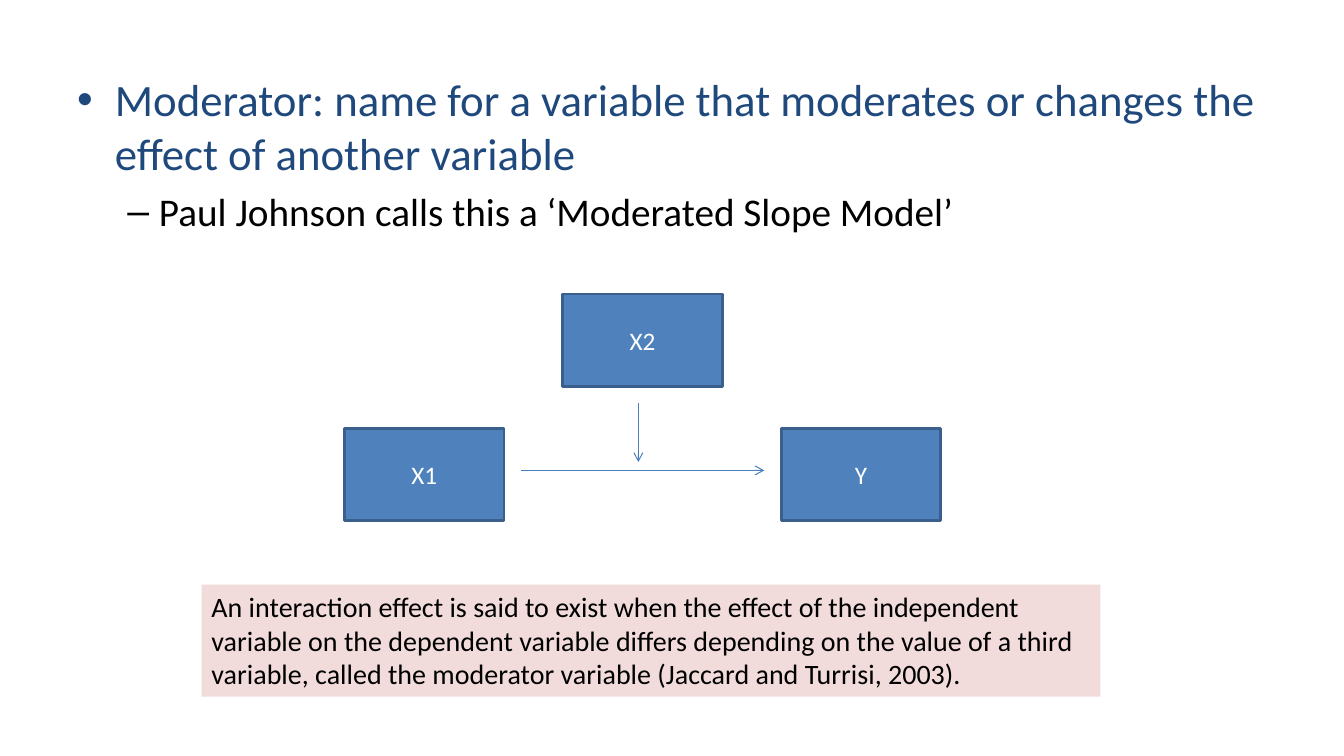
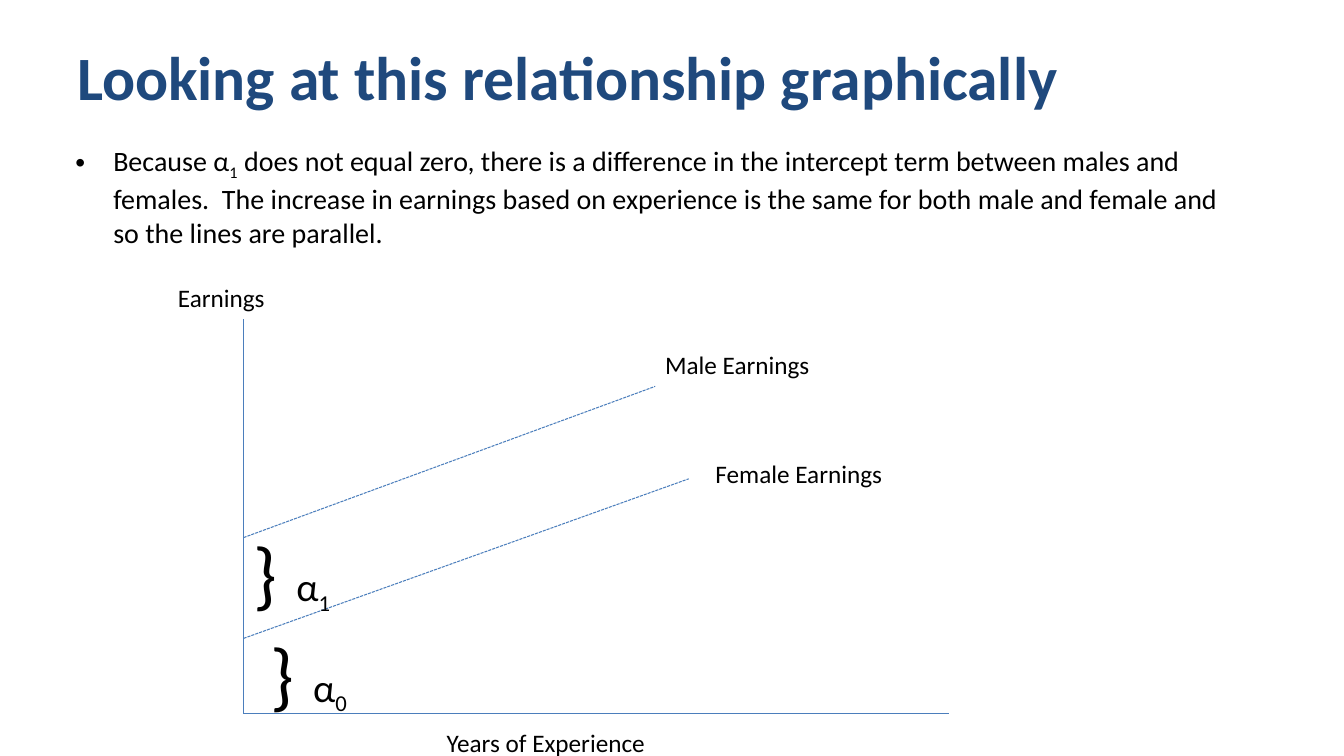
from dataclasses import dataclass
from typing import Any, Optional

from lxml.etree import SubElement
from pptx import Presentation
from pptx.dml.color import RGBColor
from pptx.enum.dml import MSO_LINE
from pptx.enum.shapes import MSO_CONNECTOR, MSO_SHAPE
from pptx.enum.text import MSO_ANCHOR, PP_ALIGN
from pptx.oxml.ns import qn
from pptx.slide import Slide
from pptx.text.text import TextFrame
from pptx.util import Pt


# Theme
@dataclass(frozen=True)
class Theme:
    font: str = "Calibri"
    bullet_font: str = "Arial"
    heading: RGBColor = RGBColor(0x1F, 0x49, 0x7D)
    text: RGBColor = RGBColor(0, 0, 0)
    white: RGBColor = RGBColor(0xFF, 0xFF, 0xFF)
    node_fill: RGBColor = RGBColor(0x4F, 0x81, 0xBD)
    node_line: RGBColor = RGBColor(0x3A, 0x5F, 0x8C)
    rule: RGBColor = RGBColor(0x4B, 0x7E, 0xBC)
    callout_fill: RGBColor = RGBColor(0xF2, 0xDC, 0xDB)
    title_size: float = 44
    lead_size: float = 32
    sub_size: float = 28
    body_size: float = 20
    label_size: float = 18
    brace_size: float = 54
    gap_size: float = 60


THEME = Theme()


# Repeated elements
@dataclass(frozen=True)
class Span:
    text: str
    size: float = THEME.label_size
    color: RGBColor = THEME.text
    bold: bool = False
    subscript: bool = False


@dataclass(frozen=True)
class Bullet:
    mark: str
    indent: float
    hanging: float
    level: int = 0


DOT = Bullet("•", 27, 27)
DASH = Bullet("–", 58.5, 22.5, 1)


@dataclass(frozen=True)
class Para:
    spans: tuple[Span, ...]
    bullet: Optional[Bullet] = None
    alignment: PP_ALIGN = PP_ALIGN.LEFT


@dataclass(frozen=True)
class Box:
    left: float
    top: float
    width: float
    height: float

    def lengths(self) -> tuple[Pt, Pt, Pt, Pt]:
        return Pt(self.left), Pt(self.top), Pt(self.width), Pt(self.height)


@dataclass(frozen=True)
class Line:
    start: tuple[float, float]
    end: tuple[float, float]
    arrow: bool = False
    dashed: bool = False


# Drawing functions
def apply_format(target: Any, values: dict[str, Any]) -> None:
    for name, value in values.items():
        setattr(target, name, value)


def add_bullet(paragraph: Any, bullet: Bullet, size: float) -> None:
    apply_format(paragraph, {"level": bullet.level, "space_before": Pt(0.2 * size)})
    properties = paragraph._p.get_or_add_pPr()
    properties.set("marL", str(Pt(bullet.indent)))
    properties.set("indent", str(-Pt(bullet.hanging)))
    SubElement(properties, qn("a:buFont"), typeface=THEME.bullet_font)
    SubElement(properties, qn("a:buChar"), char=bullet.mark)


def write(frame: TextFrame, paras: list[Para], anchor: MSO_ANCHOR = MSO_ANCHOR.TOP) -> None:
    apply_format(frame, {"word_wrap": True, "vertical_anchor": anchor})
    for index, para in enumerate(paras):
        paragraph = frame.add_paragraph() if index else frame.paragraphs[0]
        paragraph.alignment = para.alignment
        if para.bullet:
            add_bullet(paragraph, para.bullet, para.spans[0].size)
        for span in para.spans:
            run = paragraph.add_run()
            run.text = span.text
            apply_format(run.font, {"name": THEME.font, "size": Pt(span.size), "bold": span.bold})
            run.font.color.rgb = span.color
            if span.subscript:
                run._r.get_or_add_rPr().set("baseline", "-25000")


def add_text(page: Slide, box: Box, paras: list[Para], fill: Optional[RGBColor] = None,
             anchor: MSO_ANCHOR = MSO_ANCHOR.TOP) -> None:
    shape = page.shapes.add_textbox(*box.lengths())
    if fill is not None:
        shape.fill.solid()
        shape.fill.fore_color.rgb = fill
    write(shape.text_frame, paras, anchor)


def add_node(page: Slide, box: Box, name: str) -> None:
    shape = page.shapes.add_shape(MSO_SHAPE.RECTANGLE, *box.lengths())
    shape.shadow.inherit = False
    shape.fill.solid()
    shape.fill.fore_color.rgb = THEME.node_fill
    shape.line.color.rgb = THEME.node_line
    shape.line.width = Pt(2)
    label = Para((Span(name, color=THEME.white),), alignment=PP_ALIGN.CENTER)
    write(shape.text_frame, [label], MSO_ANCHOR.MIDDLE)


def add_line(page: Slide, line: Line) -> None:
    ends = [Pt(value) for value in line.start + line.end]
    connector = page.shapes.add_connector(MSO_CONNECTOR.STRAIGHT, *ends)
    connector.line.color.rgb = THEME.rule
    connector.line.width = Pt(0.75)
    if line.dashed:
        connector.line.dash_style = MSO_LINE.SQUARE_DOT
    if line.arrow:
        SubElement(connector.line._get_or_add_ln(), qn("a:tailEnd"), type="arrow")
    SubElement(connector._element.spPr, qn("a:effectLst"))


# Slides
def build_moderator(page: Slide) -> None:
    lead = Span("Moderator: name for a variable that moderates or changes the effect of "
                "another variable", THEME.lead_size, THEME.heading)
    sub = Span("Paul Johnson calls this a ‘Moderated Slope Model’", THEME.sub_size)
    add_text(page, Box(48, 48, 864, 434), [Para((lead,), DOT), Para((sub,), DASH)])

    # Path diagram: three nodes on an even column grid
    first_left, column_step = 246, 156
    upper, lower = 210, 306
    for column, (name, top) in enumerate([("X1", lower), ("X2", upper), ("Y", lower)]):
        add_node(page, Box(first_left + column * column_step, top, 114, 66), name)
    for line in (Line((372, 336), (546, 336), arrow=True),
                 Line((456, 288), (456, 330), arrow=True)):
        add_line(page, line)

    # Definition
    definition = Span("An interaction effect is said to exist when the effect of the "
                      "independent variable on the dependent variable differs depending on "
                      "the value of a third variable, called the moderator variable "
                      "(Jaccard and Turrisi, 2003).", THEME.body_size)
    add_text(page, Box(144, 417.6, 642, 80), [Para((definition,))], THEME.callout_fill)


def build_graph(page: Slide) -> None:
    title = Span("Looking at this relationship graphically", THEME.title_size,
                 THEME.heading, bold=True)
    add_text(page, Box(48, 9, 864, 90), [Para((title,))], anchor=MSO_ANCHOR.MIDDLE)

    size = THEME.body_size
    body = (Span("Because α", size), Span("1", size, subscript=True),
            Span(" does not equal zero, there is a difference in the intercept term between "
                 "males and females.  The increase in earnings based on experience is the "
                 "same for both male and female and so the lines are parallel.", size))
    add_text(page, Box(46.8, 99, 840, 96), [Para(body, DOT)])

    # Axes and earnings lines
    axis_left, axis_bottom = 174, 510
    origin = (axis_left, axis_bottom)
    for line in (Line((axis_left, 228), origin),
                 Line(origin, (678, axis_bottom)),
                 Line((axis_left, 384), (468, 276), dashed=True),
                 Line((axis_left, 456), (492, 342), dashed=True)):
        add_line(page, line)

    # Labels
    for text, left, top, width in (("Years of Experience", 312, 516, 360),
                                   ("Earnings", 120, 198, 204),
                                   ("Male Earnings", 468, 246, 162),
                                   ("Female Earnings", 504, 324, 174)):
        add_text(page, Box(left, top, width, 29), [Para((Span(text),))])

    # Intercept braces
    for index, left, top in (("1", 174, 366), ("0", 186, 438)):
        brace = (Span("}", THEME.brace_size), Span(" ", THEME.gap_size),
                 Span("α", THEME.sub_size), Span(index, THEME.sub_size, subscript=True))
        add_text(page, Box(left, top, 132, 80), [Para(brace)])


def main() -> None:
    deck = Presentation()
    apply_format(deck, {"slide_width": Pt(960), "slide_height": Pt(540)})
    blank = deck.slide_layouts[6]
    for build in (build_moderator, build_graph):
        build(deck.slides.add_slide(blank))
    deck.save("out.pptx")


if __name__ == "__main__":
    main()
